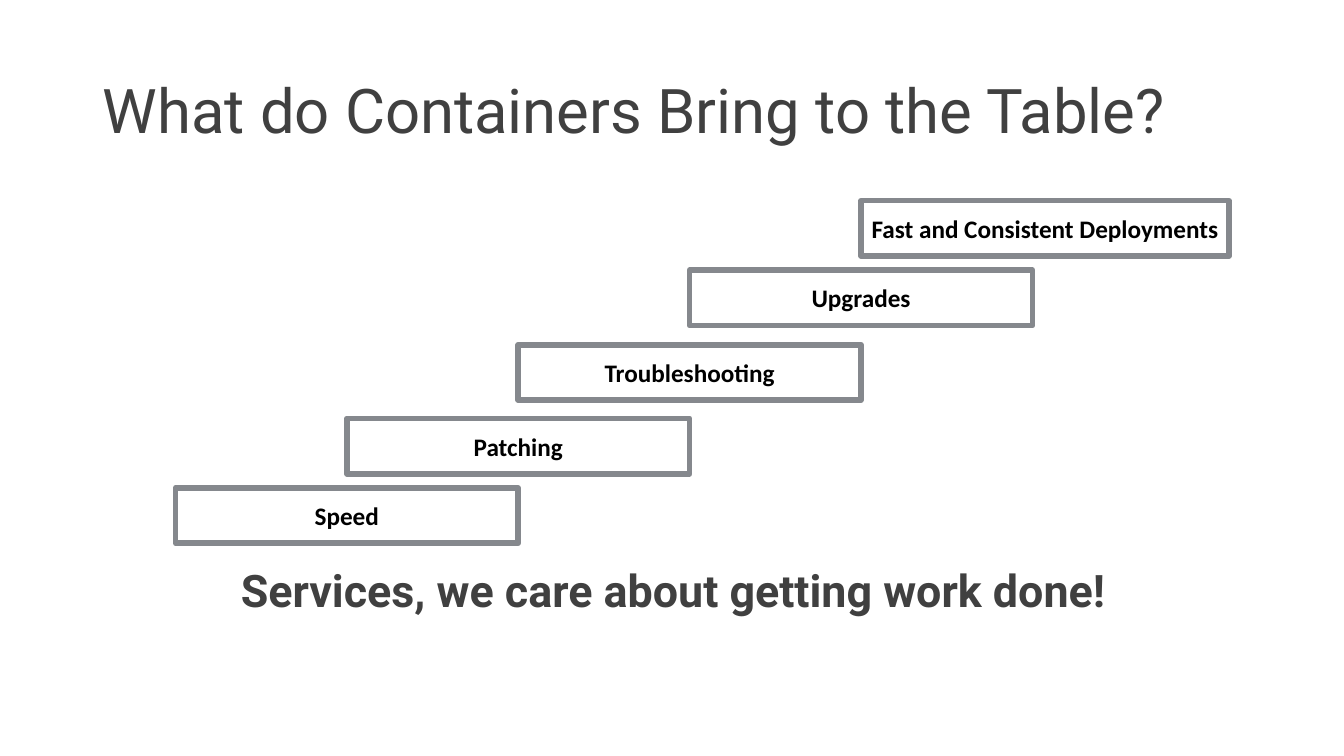
import pptx
import pptx.dml.color
import pptx.enum.shapes
import pptx.enum.text
import pptx.util

Inches = pptx.util.Inches
COLOURS = {"heading": "404040", "label": "000000", "border": "85888D"}
STEPS = [
    ("Speed", 2.85, 3.4),
    ("Patching", 2.16, 3.4),
    ("Troubleshooting", 1.43, 3.4),
    ("Upgrades", 0.69, 3.4),
    ("Fast and Consistent Deployments", 0, 3.65),
]
STEP_RUN = 1.7
STEP_HEIGHT = 0.55


def colour(name):
    """Return the named colour of the palette."""
    return pptx.dml.color.RGBColor.from_string(COLOURS[name])


def write_text(shape, text, *, font, size, tint, bold=False, align="LEFT",
               anchor="TOP", spacing=None, inset=None):
    """Write one formatted paragraph into a shape."""
    frame = shape.text_frame
    frame.word_wrap = True
    frame.vertical_anchor = getattr(pptx.enum.text.MSO_ANCHOR, anchor)
    if inset is not None:
        frame.margin_left = frame.margin_right = Inches(inset)
        frame.margin_top = frame.margin_bottom = Inches(inset)
    para = frame.paragraphs[0]
    para.alignment = getattr(pptx.enum.text.PP_ALIGN, align)
    if spacing is not None:
        para.line_spacing = spacing
    span = para.add_run()
    span.text = text
    span.font.name = font
    span.font.size = pptx.util.Pt(size)
    span.font.bold = bold
    span.font.color.rgb = colour(tint)


def add_title(page, left, top, width, height):
    """Place the slide title in the given box."""
    box = page.shapes.add_textbox(*map(Inches, (left, top, width, height)))
    write_text(box, "What do Containers Bring to the Table?", font="Roboto",
               size=44, tint="heading", anchor="MIDDLE", spacing=0.9)


def add_staircase(page, left, top):
    """Place the rising steps from the given corner, lowest step first."""
    for index, (label, drop, width) in enumerate(STEPS):
        step = page.shapes.add_shape(
            pptx.enum.shapes.MSO_SHAPE.RECTANGLE,
            Inches(left + index * STEP_RUN), Inches(top + drop),
            Inches(width), Inches(STEP_HEIGHT))
        step.shadow.inherit = False
        step.fill.background()
        step.line.color.rgb = colour("border")
        step.line.width = pptx.util.Pt(4)
        write_text(step, label, font="Calibri", size=18, tint="label",
                   bold=True, align="CENTER", anchor="MIDDLE", inset=0.06)


def add_tagline(page, left, top, width, height):
    """Place the closing statement in the given box."""
    box = page.shapes.add_textbox(*map(Inches, (left, top, width, height)))
    write_text(box, "Services, we care about getting work done!",
               font="Roboto", size=32, tint="heading", bold=True)


def main():
    """Build and save the deck."""
    deck = pptx.Presentation()
    deck.slide_width = Inches(13.33)
    deck.slide_height = Inches(7.5)
    page = deck.slides.add_slide(deck.slide_layouts[6])
    add_title(page, 0.92, 0.4, 11.5, 1.45)
    add_staircase(page, 1.74, 1.99)
    add_tagline(page, 2.29, 5.53, 9.46, 0.64)
    deck.save("out.pptx")


if __name__ == "__main__":
    main()
